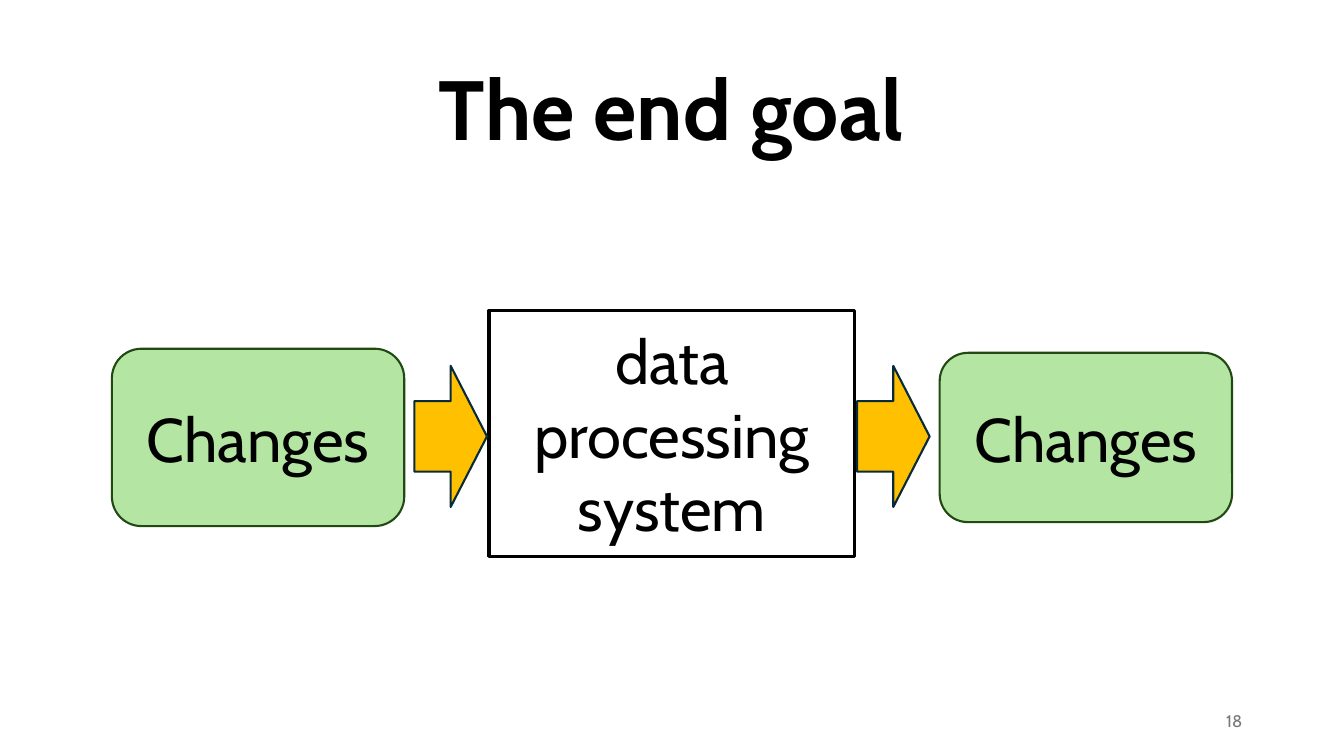
from pptx import Presentation
from pptx import util as u
from pptx.dml.color import RGBColor
from pptx.enum import shapes, text

PX = 9144  # EMU per px, 100 px to the inch
FONT = "Cabin"
BLACK = RGBColor(0x00, 0x00, 0x00)
GREY = RGBColor(0x79, 0x79, 0x79)
AMBER = RGBColor(0xFF, 0xC0, 0x00)
NAVY = RGBColor(0x09, 0x2A, 0x39)
GREEN = RGBColor(0xB4, 0xE5, 0xA2)
DARK_GREEN = RGBColor(0x22, 0x49, 0x14)
SHAPE = shapes.MSO_SHAPE


def emu(*lengths):
    return [u.Emu(n * PX) for n in lengths]


def put_text(sp, content, size=44, color=BLACK, bold=False,
             align=text.PP_ALIGN.CENTER, spacing=1.0):
    """Fill a shape with text, one paragraph per line."""
    tf = sp.text_frame
    tf.word_wrap = True
    tf.vertical_anchor = text.MSO_ANCHOR.MIDDLE
    for i, line in enumerate(content.split("\n")):
        p = tf.add_paragraph() if i else tf.paragraphs[0]
        p.alignment = align
        p.line_spacing = spacing
        r = p.add_run()
        r.text = line
        r.font.name = FONT
        r.font.size = u.Pt(size)
        r.font.bold = bold
        r.font.color.rgb = color


def text_box(s, box, content, **fmt):
    put_text(s.shapes.add_textbox(*emu(*box)), content, **fmt)


def block(s, kind, box, line, width, fill=None, label=None):
    sp = s.shapes.add_shape(kind, *emu(*box))
    sp.shadow.inherit = False
    if fill is None:
        sp.fill.background()
    else:
        sp.fill.solid()
        sp.fill.fore_color.rgb = fill
    sp.line.color.rgb = line
    sp.line.width = u.Pt(width)
    if label:
        put_text(sp, label)


def flow_diagram(s, left, top, width, height):
    """Input, arrow, system, arrow, output, mirrored about the centre."""
    system_w, arrow_w, arrow_h, change_w = 363, 72, 140, 290
    system_x = left + (width - system_w) // 2
    arrow_y = top + 55
    middle = top + height // 2 + 4

    block(s, SHAPE.RECTANGLE, (system_x, top, system_w, height), BLACK, 2.25,
          label="data\nprocessing\nsystem")
    for x in (system_x - 2 - arrow_w, system_x + system_w + 2):
        block(s, SHAPE.RIGHT_ARROW, (x, arrow_y, arrow_w, arrow_h),
              NAVY, 1.5, fill=AMBER)
    for x, change_h in ((left, 176), (left + width - change_w, 168)):
        block(s, SHAPE.ROUNDED_RECTANGLE,
              (x, middle - change_h // 2, change_w, change_h),
              DARK_GREEN, 1.5, fill=GREEN, label="Changes")


def main():
    prs = Presentation()
    prs.slide_width, prs.slide_height = emu(1333, 750)
    s = prs.slides.add_slide(prs.slide_layouts[6])
    text_box(s, (90, 40, 1151, 145), "The end goal",
             size=60, bold=True, spacing=0.9)
    text_box(s, (942, 695, 300, 40), "18",
             size=12, color=GREY, align=text.PP_ALIGN.RIGHT)
    flow_diagram(s, 111, 308, 1111, 244)
    prs.save("out.pptx")


if __name__ == "__main__":
    main()
